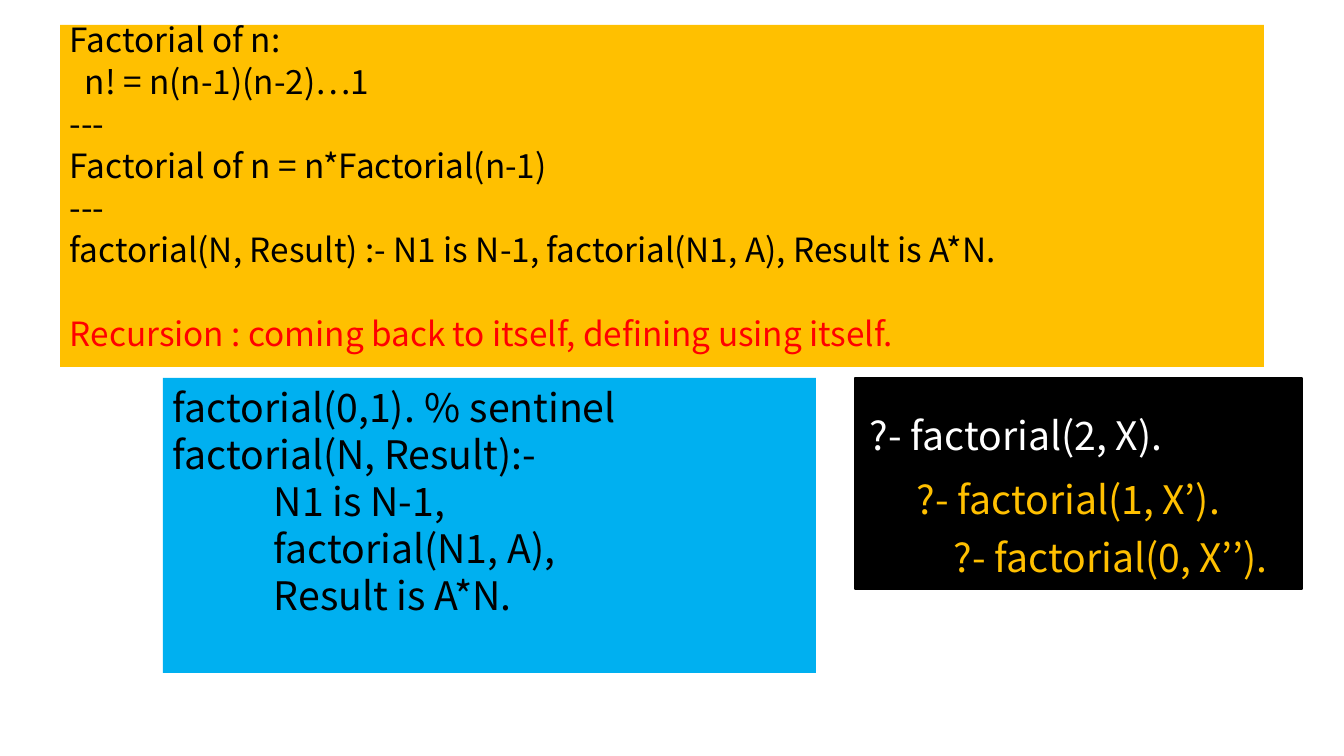
from lxml.etree import SubElement
from pptx import Presentation
from pptx.dml.color import RGBColor
from pptx.enum.shapes import MSO_SHAPE
from pptx.enum.text import MSO_ANCHOR, PP_ALIGN
from pptx.oxml.ns import qn
from pptx.util import Pt

EMU_PER_PX = 914400 / 100.8
FONT = "Noto Sans CJK JP"
COLORS = {
    "black": "000000",
    "white": "FFFFFF",
    "amber": "FFC000",
    "blue": "00B0F0",
    "red": "FF0000",
}


def px(length):
    return round(length * EMU_PER_PX)


def rgb(name):
    return RGBColor.from_string(COLORS[name])


def write(frame, text, size=28, color="black", first=False,
          spacing=None, before=0, indent=0, tab=None):
    """Write one formatted paragraph into a text frame."""
    paragraph = frame.paragraphs[0] if first else frame.add_paragraph()
    paragraph.alignment = PP_ALIGN.LEFT
    paragraph.space_before = Pt(before)
    if spacing:
        paragraph.line_spacing = spacing
    properties = paragraph._p.get_or_add_pPr()
    properties.set("marL", str(px(indent)))
    properties.set("indent", "0")
    if tab:
        stops = SubElement(properties, qn("a:tabLst"))
        SubElement(stops, qn("a:tab"), pos=str(px(tab)), algn="l")
    run = paragraph.add_run()
    run.text = text
    run.font.name = FONT
    run.font.size = Pt(size)
    run.font.color.rgb = rgb(color)


class SlideBuilder:
    def __init__(self, slide):
        self.slide = slide

    def panel(self, left, top, width, height, fill, line=None):
        shape = self.slide.shapes.add_shape(
            MSO_SHAPE.RECTANGLE, px(left), px(top), px(width), px(height))
        shape.shadow.inherit = False
        shape.fill.solid()
        shape.fill.fore_color.rgb = rgb(fill)
        if line:
            shape.line.color.rgb = rgb(line)
            shape.line.width = Pt(1)
        else:
            shape.line.fill.background()
        shape.text_frame.word_wrap = True
        shape.text_frame.vertical_anchor = MSO_ANCHOR.TOP
        return shape.text_frame

    def label(self, left, top, width, height, text, **style):
        box = self.slide.shapes.add_textbox(
            px(left), px(top), px(width), px(height))
        box.text_frame.word_wrap = True
        write(box.text_frame, text, first=True, **style)


def main():
    deck = Presentation()
    deck.slide_width, deck.slide_height = px(1344), px(756)
    builder = SlideBuilder(deck.slides.add_slide(deck.slide_layouts[6]))

    # Definition of the factorial
    definition = builder.panel(60, 25, 1204, 342, "amber")
    definition_lines = [
        ("Factorial of n:", {"first": True}),
        ("n! = n(n-1)(n-2)…1", {"indent": 15}),
        ("---", {}),
        ("Factorial of n = n*Factorial(n-1)", {}),
        ("---", {}),
        ("factorial(N, Result) :- N1 is N-1, factorial(N1, A), Result is A*N.", {}),
        ("Recursion : coming back to itself, defining using itself.",
         {"color": "red", "before": 40}),
    ]
    for text, style in definition_lines:
        write(definition, text, **{"size": 23.8, "spacing": 0.7, "before": 10, **style})

    # Prolog program
    program = builder.panel(163, 378, 653, 295, "blue")
    write(program, "factorial(0,1).\t% sentinel", first=True, tab=277)
    write(program, "factorial(N, Result):-")
    for goal in ("N1 is N-1,", "factorial(N1, A),", "Result is A*N."):
        write(program, goal, indent=101)

    # Nested queries
    builder.panel(855, 378, 447, 211, "black", line="black")
    builder.label(860, 406, 474, 105, "?- factorial(2, X).", color="white")
    builder.label(907, 470, 342, 105, "?- factorial(1, X’).", color="amber")
    builder.label(944, 528, 342, 105, "?- factorial(0, X’’).", color="amber")

    deck.save("out.pptx")


if __name__ == "__main__":
    main()
